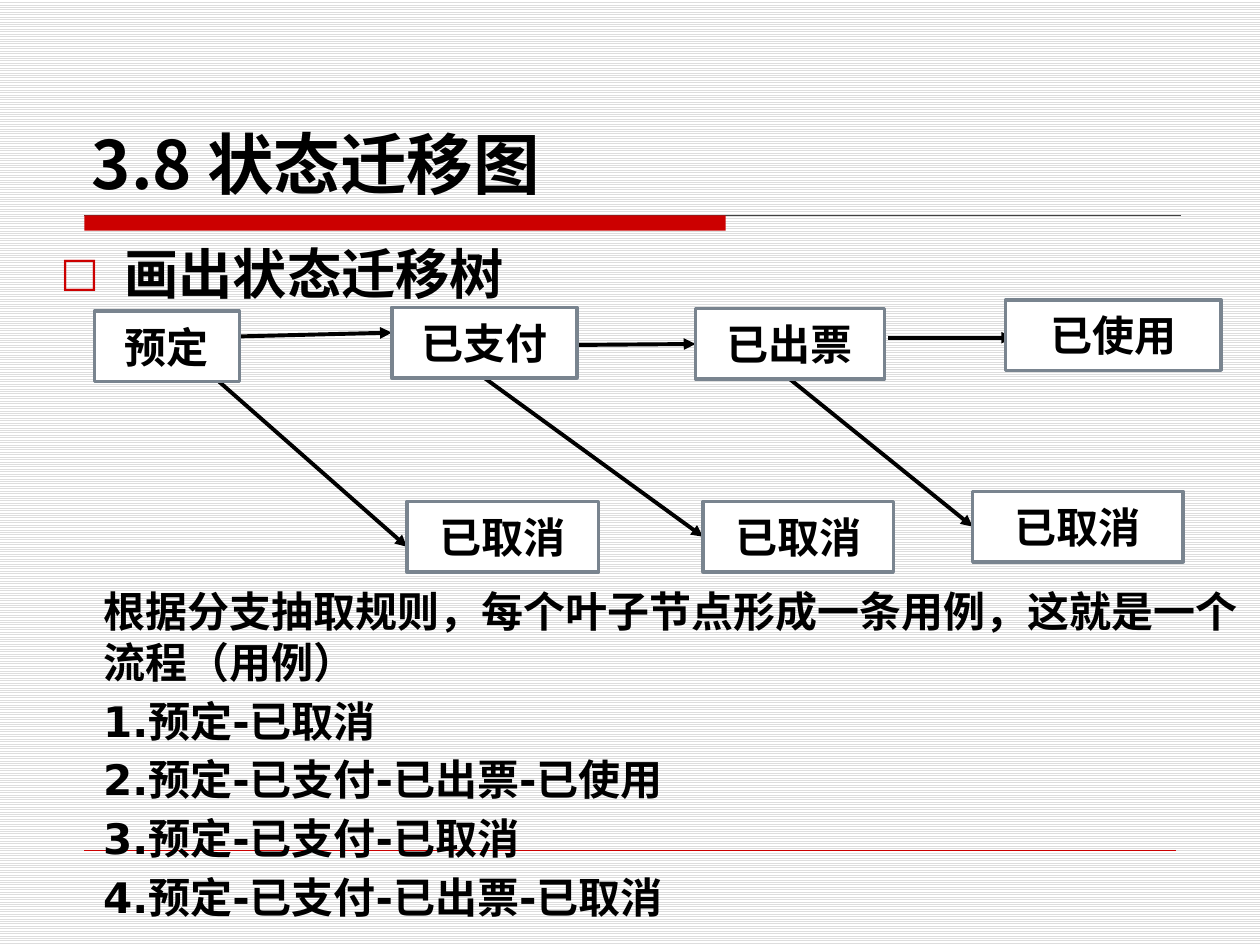
from lxml import etree
from pptx import Presentation
from pptx.dml.color import RGBColor
from pptx.enum.dml import MSO_PATTERN_TYPE as PATTERN
from pptx.enum.shapes import MSO_CONNECTOR_TYPE as CONNECTOR, MSO_SHAPE as SHAPE
from pptx.enum.text import MSO_ANCHOR as ANCHOR, PP_ALIGN as ALIGN
from pptx.oxml.ns import qn
from pptx.util import Inches, Pt

COLORS = {"text": "000000", "accent": "CC0000", "rule": "404040",
          "border": "79848F", "paper": "FFFFFF", "stripe": "DDDDDD"}
LATIN, CHINESE = "DejaVu Sans", "Noto Sans CJK SC"
BOTTOM, LEFT = 2, 1

# Name: text, left, top, width, relative to the diagram
STATES = {
    "booked": ("预定", 0, 0.09, 1.15),
    "paid": ("已支付", 2.36, 0.06, 1.47),
    "issued": ("已出票", 4.77, 0.07, 1.5),
    "used": ("已使用", 7.23, 0, 1.71),
    "booked cancelled": ("已取消", 2.48, 1.6, 1.52),
    "paid cancelled": ("已取消", 4.83, 1.6, 1.51),
    "issued cancelled": ("已取消", 6.97, 1.52, 1.67),
}
STATE_HEIGHT = 0.56

# Start, end, state joined at its bottom, state joined at its left
TRANSITIONS = [
    ((3.59, 0.36), (4.77, 0.35), None, "issued"),
    ((1.16, 0.29), (2.36, 0.26), None, None),
    ((6.3, 0.3), (7.29, 0.3), None, None),
    ((0.99, 0.65), (2.48, 1.96), None, None),
    ((3.1, 0.62), (4.83, 1.88), "paid", "paid cancelled"),
    ((5.52, 0.63), (6.97, 1.8), "issued", "issued cancelled"),
]

RULE_TEXT = "根据分支抽取规则，每个叶子节点形成一条用例，这就是一个流程（用例）"
CASES = ["预定-已取消", "预定-已支付-已出票-已使用",
         "预定-已支付-已取消", "预定-已支付-已出票-已取消"]


def color(name):
    return RGBColor.from_string(COLORS[name])


def add_text(shape, lines, size=24, font=LATIN, align=ALIGN.LEFT,
             anchor=ANCHOR.TOP, margin=0, indent=0, space=0, bullet=None):
    frame = shape.text_frame
    frame.word_wrap = True
    frame.vertical_anchor = anchor
    for index, line in enumerate(lines):
        paragraph = frame.paragraphs[0] if index == 0 else frame.add_paragraph()
        paragraph.alignment = align
        if index:
            paragraph.space_before = Pt(space)
        properties = paragraph._p.get_or_add_pPr()
        properties.set("marL", str(Inches(margin)))
        properties.set("indent", str(Inches(indent)))
        if bullet:
            bullet_color = etree.SubElement(properties, qn("a:buClr"))
            etree.SubElement(bullet_color, qn("a:srgbClr"), val=COLORS["accent"])
            etree.SubElement(properties, qn("a:buSzPct"), val="75000")
            etree.SubElement(properties, qn("a:buFont"), typeface=LATIN)
            etree.SubElement(properties, qn("a:buChar"), char=bullet)
        run = paragraph.add_run()
        run.text = line
        run.font.size = Pt(size)
        run.font.name = font
        run.font.bold = True
        run.font.color.rgb = color("text")
        etree.SubElement(run.font._element, qn("a:ea"), typeface=CHINESE)


def add_text_box(slide, left, top, width, height, lines, **text_format):
    box = slide.shapes.add_textbox(Inches(left), Inches(top), Inches(width), Inches(height))
    add_text(box, lines, **text_format)


def add_rectangle(slide, left, top, width, height, fill, border=None):
    shape = slide.shapes.add_shape(SHAPE.RECTANGLE, Inches(left), Inches(top),
                                   Inches(width), Inches(height))
    shape.shadow.inherit = False
    shape.fill.solid()
    shape.fill.fore_color.rgb = color(fill)
    if border:
        shape.line.color.rgb = color(border)
        shape.line.width = Pt(2)
    else:
        shape.line.fill.background()
    return shape


def add_line(slide, start, end, line_color, width, arrow=False):
    line = slide.shapes.add_connector(CONNECTOR.STRAIGHT,
                                      *(Inches(value) for value in (*start, *end)))
    line.line.color.rgb = color(line_color)
    line.line.width = Pt(width)
    if arrow:
        etree.SubElement(line.line._get_or_add_ln(), qn("a:tailEnd"), type="triangle")
    etree.SubElement(line._element.spPr, qn("a:effectLst"))
    return line


def add_decoration(slide, left, top, width):
    # Title bar with a thin rule, and the footer rule
    add_line(slide, (left, top), (left + width, top), "rule", 0.75)
    add_rectangle(slide, left, top, 5.09, 0.12, "accent")
    add_line(slide, (left, top + 5.04), (left + 8.66, top + 5.04), "accent", 0.25)


def add_state_tree(slide, left, top):
    # Arrows lie behind the states
    arrows = [add_line(slide, (left + x1, top + y1), (left + x2, top + y2),
                       "text", 2.25, arrow=True)
              for (x1, y1), (x2, y2), _, _ in TRANSITIONS]
    boxes = {}
    for name, (label, x, y, width) in STATES.items():
        boxes[name] = add_rectangle(slide, left + x, top + y, width, STATE_HEIGHT,
                                    "paper", "border")
        add_text(boxes[name], [label], align=ALIGN.CENTER, anchor=ANCHOR.MIDDLE)
    # Join the ends that meet the middle of a side
    for arrow, (_, _, source, target) in zip(arrows, TRANSITIONS):
        if source:
            arrow.begin_connect(boxes[source], BOTTOM)
        if target:
            arrow.end_connect(boxes[target], LEFT)


def add_cases(slide, left, top, width, height):
    numbered = [f"{number}.{case}" for number, case in enumerate(CASES, 1)]
    add_text_box(slide, left, top, width, height, [RULE_TEXT, *numbered],
                 margin=0.52, space=4.8)


def main():
    presentation = Presentation()
    presentation.slide_width, presentation.slide_height = Inches(10), Inches(7.5)
    slide = presentation.slides.add_slide(presentation.slide_layouts[6])

    # Striped background
    fill = slide.background.fill
    fill.patterned()
    fill.pattern = PATTERN.LIGHT_HORIZONTAL
    fill.fore_color.rgb = color("stripe")
    fill.back_color.rgb = color("paper")

    add_decoration(slide, 0.67, 1.71, 8.7)
    add_text_box(slide, 0.38, 1.65, 8.62, 0.82, ["画出状态迁移树"], size=31,
                 anchor=ANCHOR.BOTTOM, margin=0.51, indent=-0.51, bullet="□")
    add_state_tree(slide, 0.75, 2.38)
    add_cases(slide, 0.2, 4.6, 9.72, 2.85)
    add_text_box(slide, 0.63, 0.33, 8.75, 1.33, ["3.8 状态迁移图"], size=38,
                 font=CHINESE, anchor=ANCHOR.BOTTOM)
    presentation.save("out.pptx")


if __name__ == "__main__":
    main()
